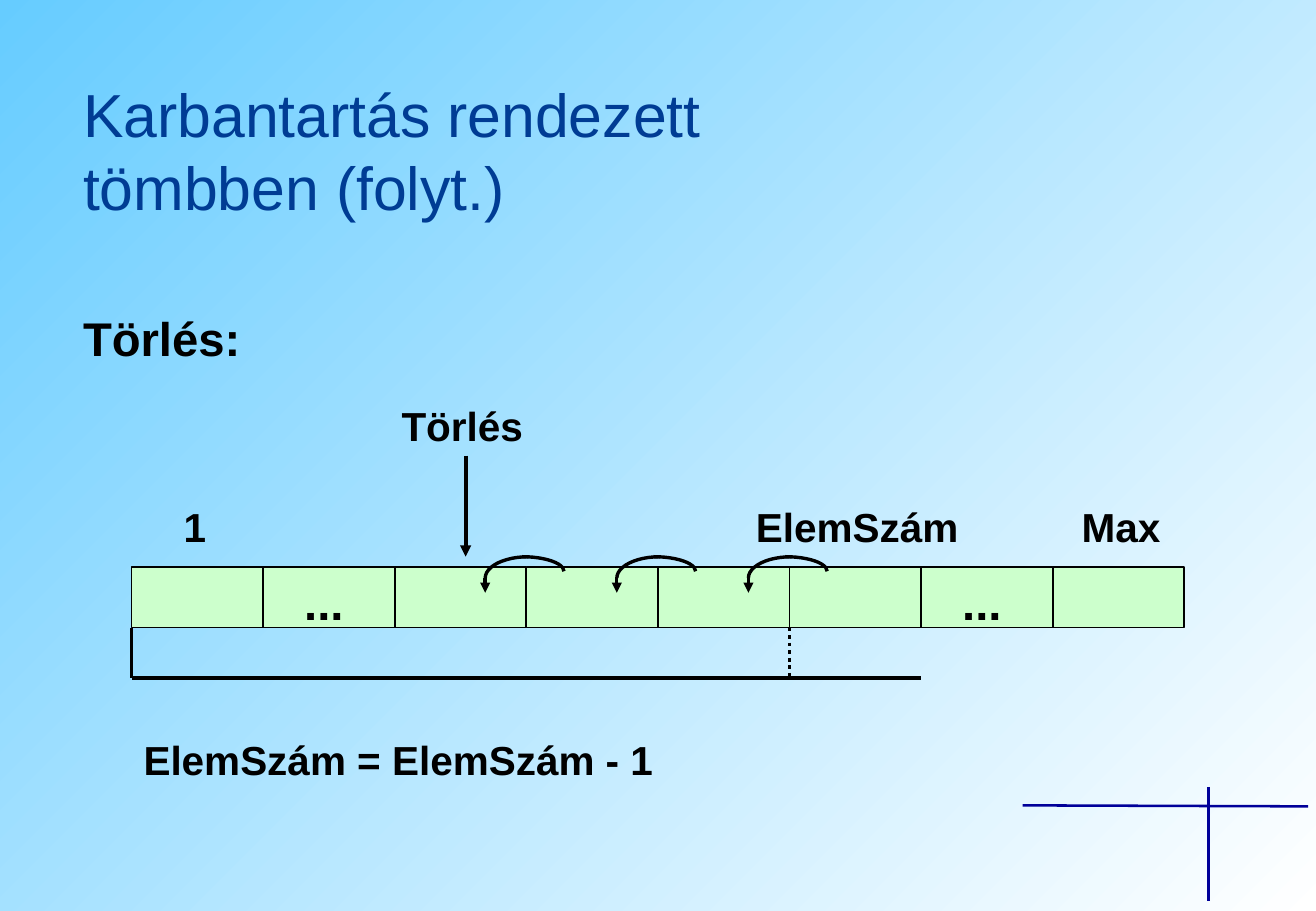
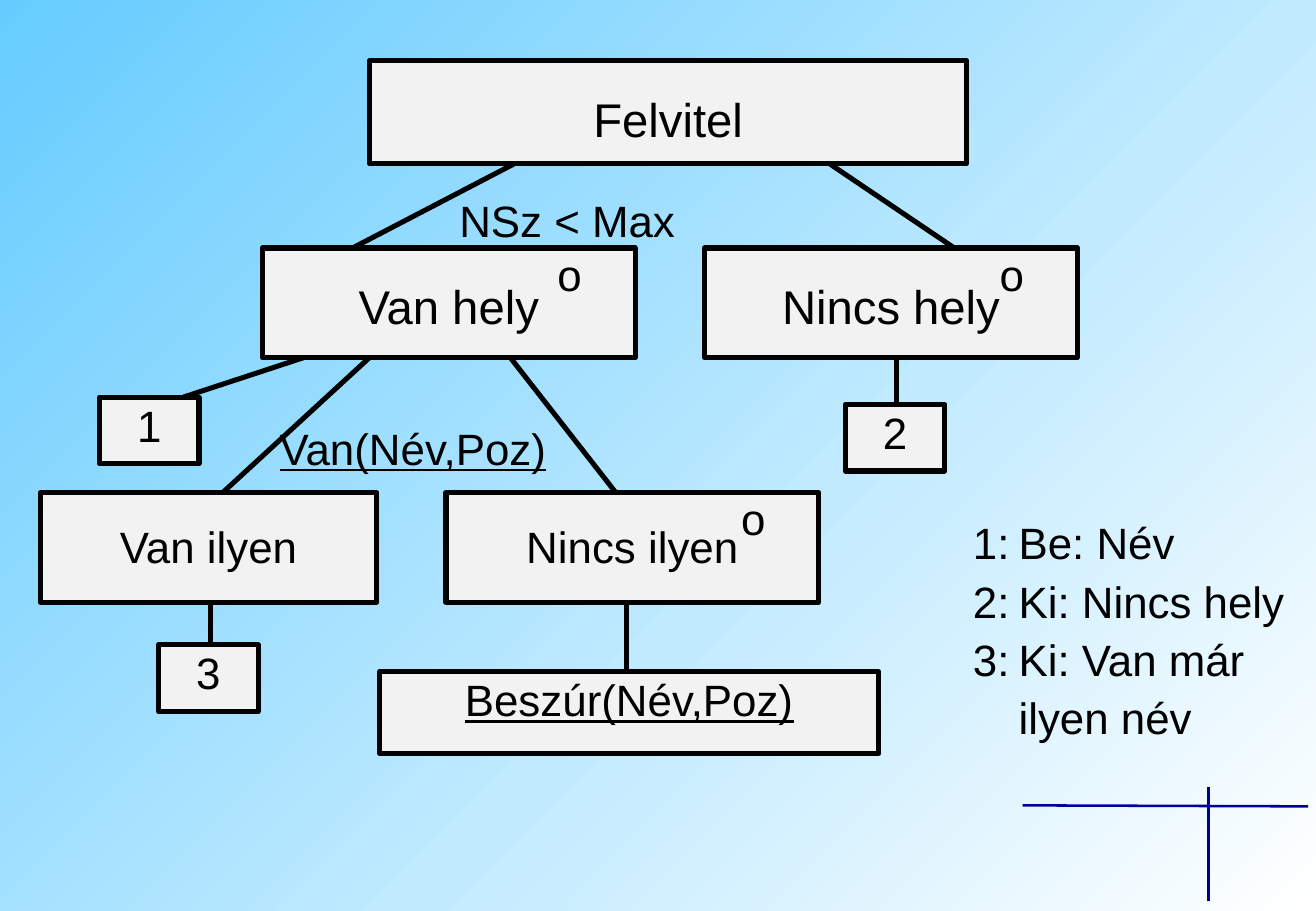
from pptx import Presentation
from pptx.dml.color import RGBColor
from pptx.enum.dml import MSO_LINE
from pptx.enum.shapes import MSO_CONNECTOR, MSO_SHAPE
from pptx.enum.text import MSO_ANCHOR, MSO_AUTO_SIZE, PP_ALIGN
from pptx.oxml.ns import qn
from pptx.util import Pt
from lxml.etree import SubElement

COLORS = {
    "text": "000000", "title": "003C94", "cross": "000099",
    "cell": "CCFFCC", "box": "F2F2F2", "sky": "66CCFF", "white": "FFFFFF",
}
C = {name: RGBColor.from_string(value) for name, value in COLORS.items()}


def write(sp, text, size=24, bold=False, underline=False, color="text",
          align=PP_ALIGN.LEFT, spacing=1.0, hang=0, inset=(7.2, 3.6)):
    """Fill a shape with top-anchored text, one paragraph per line."""
    tf = sp.text_frame
    tf.word_wrap = True
    tf.auto_size = MSO_AUTO_SIZE.NONE
    tf.vertical_anchor = MSO_ANCHOR.TOP
    tf.margin_left = tf.margin_right = Pt(inset[0])
    tf.margin_top = tf.margin_bottom = Pt(inset[1])
    tf.text = text
    for p in tf.paragraphs:
        pPr = p._p.get_or_add_pPr()
        pPr.set("marL", str(Pt(hang)))
        pPr.set("indent", str(-Pt(hang)))
        SubElement(pPr, qn("a:buNone"))
        p.alignment = align
        p.line_spacing = spacing
        p.space_before = Pt(0)
        for r in p.runs:
            f = r.font
            f.name, f.size, f.bold, f.underline = "Arial", Pt(size), bold, underline
            f.color.rgb = C[color]


def add_line(s, x1, y1, x2, y2, width=2.25, color="text", arrow=False):
    cn = s.shapes.add_connector(MSO_CONNECTOR.STRAIGHT, Pt(x1), Pt(y1), Pt(x2), Pt(y2))
    cn.line.width = Pt(width)
    cn.line.color.rgb = C[color]
    if arrow:
        SubElement(cn.line._get_or_add_ln(), qn("a:tailEnd"), type="triangle")
    SubElement(cn.element.spPr, qn("a:effectLst"))
    return cn


prs = Presentation()
prs.slide_width, prs.slide_height = Pt(780), Pt(540)
layout = prs.slide_layouts[1]
master = prs.slide_master

# Shared background and corner cross
fill = master.background.fill
fill.gradient()
fill.gradient_angle = 135
for stop, name in zip(fill.gradient_stops, ("white", "sky")):
    stop.color.rgb = C[name]

s = prs.slides.add_slide(layout)
for i, ends in enumerate([(606.2, 477.4, 775.4, 478), (716.4, 466.5, 716.4, 534.2)]):
    cross = add_line(s, *ends, width=1.5, color="cross").element
    cross.nvCxnSpPr.cNvPr.set("id", str(100 + i))
    master.shapes.element.append(cross)

# Slide 1: deletion from a sorted array
title, body = s.placeholders
title.left, title.top, title.width, title.height = Pt(42), Pt(42), Pt(402), Pt(94)
write(title, "Karbantartás rendezett\vtömbben (folyt.)", size=36, color="title")
body.left, body.top, body.width, body.height = Pt(42), Pt(180), Pt(461), Pt(41)
write(body, "Törlés:", size=28, bold=True)

LEFT, TOP, CELL_W, CELL_H = 78, 336, 78, 36
BOTTOM, BRACKET = TOP + CELL_H, TOP + CELL_H + 30
edges = [LEFT + i * CELL_W for i in range(9)]
for x in edges[:-1]:
    cell = s.shapes.add_shape(MSO_SHAPE.RECTANGLE, Pt(x), Pt(TOP), Pt(CELL_W), Pt(CELL_H))
    cell.shadow.inherit = False
    cell.fill.solid()
    cell.fill.fore_color.rgb = C["cell"]
    cell.line.color.rgb = C["text"]
    cell.line.width = Pt(1)

for text, x, y, w, size, align in [
    ("...", edges[1], TOP, 72, 28, PP_ALIGN.CENTER),
    ("...", edges[6], TOP, 72, 28, PP_ALIGN.CENTER),
    ("1", 81, 294, 69, 24, PP_ALIGN.CENTER),
    ("ElemSzám", 438, 294, 140, 24, PP_ALIGN.CENTER),
    ("Max", 630, 294, 69, 24, PP_ALIGN.CENTER),
    ("Törlés", 204, 234, 140, 24, PP_ALIGN.CENTER),
    ("ElemSzám = ElemSzám - 1", LEFT, 432, 396, 24, PP_ALIGN.LEFT),
]:
    label = s.shapes.add_textbox(Pt(x), Pt(y), Pt(w), Pt(41))
    write(label, text, size=size, bold=True, align=align)

add_line(s, edges[0], BOTTOM, edges[0], BRACKET)
add_line(s, edges[0], BRACKET, edges[6], BRACKET)
add_line(s, edges[6], BRACKET, edges[6], BRACKET)
add_line(s, edges[5], BOTTOM, edges[5], BRACKET).line.dash_style = MSO_LINE.ROUND_DOT
add_line(s, 276, 270, 276, 330, arrow=True)

# Each moved element: a right arc, a left arc and an arrowhead over a cell edge;
# arc angles are given in units of 100000 / 60000 degrees
for edge in edges[3:6]:
    for dx, w, h, start, end in [(-27.4, 49.7, 17.3, 162, 0), (-24.4, 51, 25.2, 108, 162)]:
        arc = s.shapes.add_shape(MSO_SHAPE.ARC, Pt(edge + dx), Pt(330), Pt(w), Pt(h))
        arc.adjustments[0], arc.adjustments[1] = start, end
        arc.shadow.inherit = False
        arc.fill.background()
        arc.line.color.rgb = C["text"]
        arc.line.width = Pt(2)
    add_line(s, edge - 24.4, 342.6, edge - 24.4, 351.4, width=2, arrow=True)

# Slide 2: structure chart of insertion
s = prs.slides.add_slide(layout)
title, body = s.placeholders
for ends in [
    (305, 97, 209, 147), (491.6, 97, 565.6, 147),
    (180, 212, 108.7, 235.4), (219, 212, 132, 292), (302.5, 212, 365, 292),
    (531.4, 212, 531.4, 240), (124.6, 357, 124.6, 382), (371.5, 357, 371.5, 398),
]:
    add_line(s, *ends, width=3)

NODE_W, NODE_H = 221, 65
for text, x, y, w, h, size, spacing, option in [
    ("Felvitel", 219, 36, 354, 61, 28, 1.5, False),
    ("Van hely", 155.5, 147, NODE_W, NODE_H, 28, 1.5, True),
    ("Nincs hely", 417.6, 147, NODE_W, NODE_H, 28, 1.5, True),
    ("Van ilyen", 24, 292, 199.4, NODE_H, 26, 1.5, False),
    ("Nincs ilyen", 264.4, 292, NODE_W, NODE_H, 26, 1.5, True),
    ("1", 59, 235.4, 59, 39.6, 26, 1, False),
    ("2", 501, 239.6, 59, 39.6, 26, 1, False),
    ("3", 94, 382.2, 59, 39.6, 26, 1, False),
    ("Beszúr(Név,Poz)", 225, 398.2, 296, 48.4, 26, 1, False),
]:
    if text == "Felvitel":
        node = title
        node.left, node.top, node.width, node.height = Pt(x), Pt(y), Pt(w), Pt(h)
    else:
        node = s.shapes.add_shape(MSO_SHAPE.RECTANGLE, Pt(x), Pt(y), Pt(w), Pt(h))
        node.shadow.inherit = False
    node.fill.solid()
    node.fill.fore_color.rgb = C["box"]
    node.line.color.rgb = C["text"]
    node.line.width = Pt(3)
    write(node, text, size=size, underline="(" in text, align=PP_ALIGN.CENTER,
          spacing=spacing, inset=(0.7, 0.7))
    if option:
        mark = s.shapes.add_textbox(Pt(x + w - 46.8), Pt(y - 1), Pt(46.8), Pt(33))
        write(mark, "o", size=26, inset=(0.7, 0.7))

for text, x, y, w in [("NSz < Max", 271.5, 113.8, 214.6), ("Van(Név,Poz)", 165, 249, 188.6)]:
    condition = s.shapes.add_textbox(Pt(x), Pt(y), Pt(w), Pt(32))
    write(condition, text, size=26, underline="(" in text, inset=(0.7, 0.7))

body.left, body.top, body.width, body.height = Pt(569.5), Pt(304), Pt(209.5), Pt(140)
write(body, "1:\tBe: Név\n2:\tKi: Nincs hely\n3:\tKi: Van már ilyen név",
      size=26, spacing=1.1, hang=27)
body.text_frame.paragraphs[0].line_spacing = 0.96

prs.save("out.pptx")
